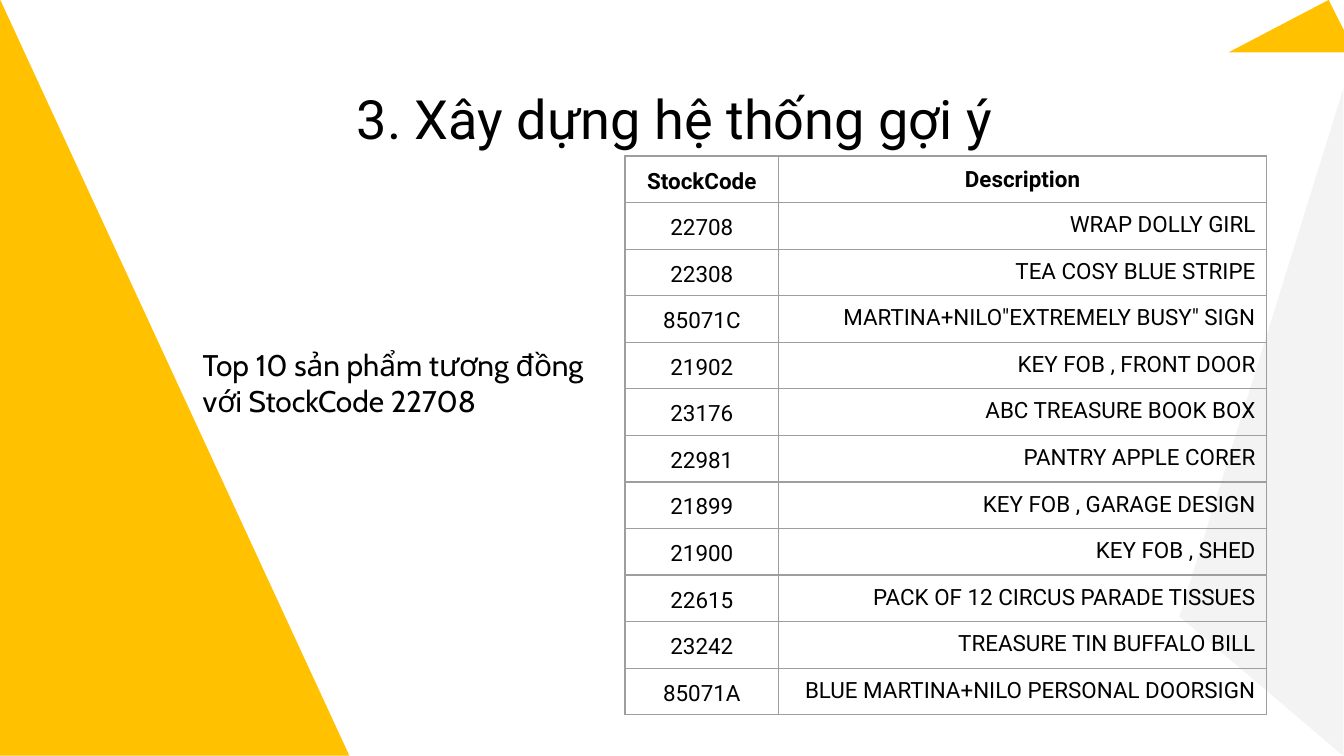
from lxml.etree import SubElement
from pptx import Presentation
from pptx.dml.color import RGBColor
from pptx.enum.shapes import MSO_SHAPE
from pptx.enum.text import MSO_ANCHOR, PP_ALIGN
from pptx.oxml.ns import qn
from pptx.util import Cm, Pt

BLACK = RGBColor(0x00, 0x00, 0x00)
GOLD = RGBColor(0xFF, 0xC1, 0x00)
PALE = RGBColor(0xF3, 0xF3, 0xF3)
GREY = RGBColor(0x9E, 0x9E, 0x9E)

ITEMS = [
    ("22708", "WRAP DOLLY GIRL"),
    ("22308", "TEA COSY BLUE STRIPE"),
    ("85071C", 'MARTINA+NILO"EXTREMELY BUSY" SIGN'),
    ("21902", "KEY FOB , FRONT DOOR"),
    ("23176", "ABC TREASURE BOOK BOX"),
    ("22981", "PANTRY APPLE CORER"),
    ("21899", "KEY FOB , GARAGE DESIGN"),
    ("21900", "KEY FOB , SHED"),
    ("22615", "PACK OF 12 CIRCUS PARADE TISSUES"),
    ("23242", "TREASURE TIN BUFFALO BILL"),
    ("85071A", "BLUE MARTINA+NILO PERSONAL DOORSIGN"),
]


def write(frame, text, size=12, font="Roboto", bold=False,
          align=PP_ALIGN.LEFT, lines=None, after=None):
    para = frame.paragraphs[0]
    para.alignment = align
    if lines is not None:
        para.line_spacing = lines
    if after is not None:
        para.space_after = Pt(after)
    run = para.add_run()
    run.text = text
    run.font.size = Pt(size)
    run.font.name = font
    run.font.bold = bold
    run.font.color.rgb = BLACK


def edge(cell):
    props = cell._tc.get_or_add_tcPr()
    for index, side in enumerate(("lnL", "lnR", "lnT", "lnB")):
        line = props.makeelement(qn(f"a:{side}"), {"w": str(Pt(0.75))})
        fill = SubElement(line, qn("a:solidFill"))
        SubElement(fill, qn("a:srgbClr"), val=str(GREY))
        props.insert(index, line)


class Deck:
    def __init__(self, slide):
        self.slide = slide

    def shape(self, kind, box, color, turn=0, peak=None, flip=False):
        shape = self.slide.shapes.add_shape(kind, *map(Cm, box))
        shape.shadow.inherit = False
        shape.fill.solid()
        shape.fill.fore_color.rgb = color
        shape.line.fill.background()
        shape.rotation = turn
        if peak is not None:
            shape.adjustments[0] = peak
        if flip:
            shape._element.spPr.get_or_add_xfrm().set("flipH", "1")

    def text(self, text, box, **style):
        frame = self.slide.shapes.add_textbox(*map(Cm, box)).text_frame
        frame.word_wrap = True
        frame.margin_left = frame.margin_right = Cm(0.25)
        frame.margin_top = frame.margin_bottom = Cm(0.25)
        write(frame, text, **style)

    def table(self, rows, left, top, widths, height):
        table = self.slide.shapes.add_table(
            len(rows), len(widths), Cm(left), Cm(top),
            Cm(sum(widths)), Cm(height * len(rows))).table
        for col, width in zip(table.columns, widths):
            col.width = Cm(width)
        for r, row in enumerate(rows):
            table.rows[r].height = Cm(height)
            for c, text in enumerate(row):
                self.cell(table.cell(r, c), text, head=r == 0, code=c == 0)

    def cell(self, cell, text, head, code):
        cell.fill.background()
        edge(cell)
        cell.margin_left = cell.margin_right = Cm(0.2)
        cell.margin_top = cell.margin_bottom = Cm(0.1)
        mid = head or code
        cell.vertical_anchor = MSO_ANCHOR.MIDDLE if mid else MSO_ANCHOR.TOP
        write(cell.text_frame, text, bold=head,
              align=PP_ALIGN.CENTER if mid else PP_ALIGN.RIGHT,
              lines=1.15 if code or not head else 1.0)


def main():
    prs = Presentation()
    prs.slide_width, prs.slide_height = Cm(25.4), Cm(14.29)
    deck = Deck(prs.slides.add_slide(prs.slide_layouts[6]))

    # Background triangles
    deck.shape(MSO_SHAPE.ISOSCELES_TRIANGLE, (17.53, 6.43, 12.62, 3.1),
               PALE, turn=270, peak=0.209)
    deck.shape(MSO_SHAPE.RIGHT_TRIANGLE, (-3.84, 3.84, 14.29, 6.6),
               GOLD, turn=90, flip=True)

    # Caption and title
    deck.text("Top 10 sản phẩm tương đồng với StockCode 22708",
              (3.58, 6.3, 8.26, 2.69), size=16, font="Cabin", after=16)
    deck.text("3. Xây dựng hệ thống gợi ý", (2.29, 1.37, 20.93, 1.6),
              size=29, align=PP_ALIGN.CENTER)

    # Corner accent
    deck.shape(MSO_SHAPE.ISOSCELES_TRIANGLE, (23.22, 0, 2.39, 0.99),
               GOLD, peak=0.791)

    # Similar products
    deck.table([("StockCode", "Description"), *ITEMS],
               11.81, 2.95, (2.91, 9.21), 0.88)

    prs.save("out.pptx")


if __name__ == "__main__":
    main()
